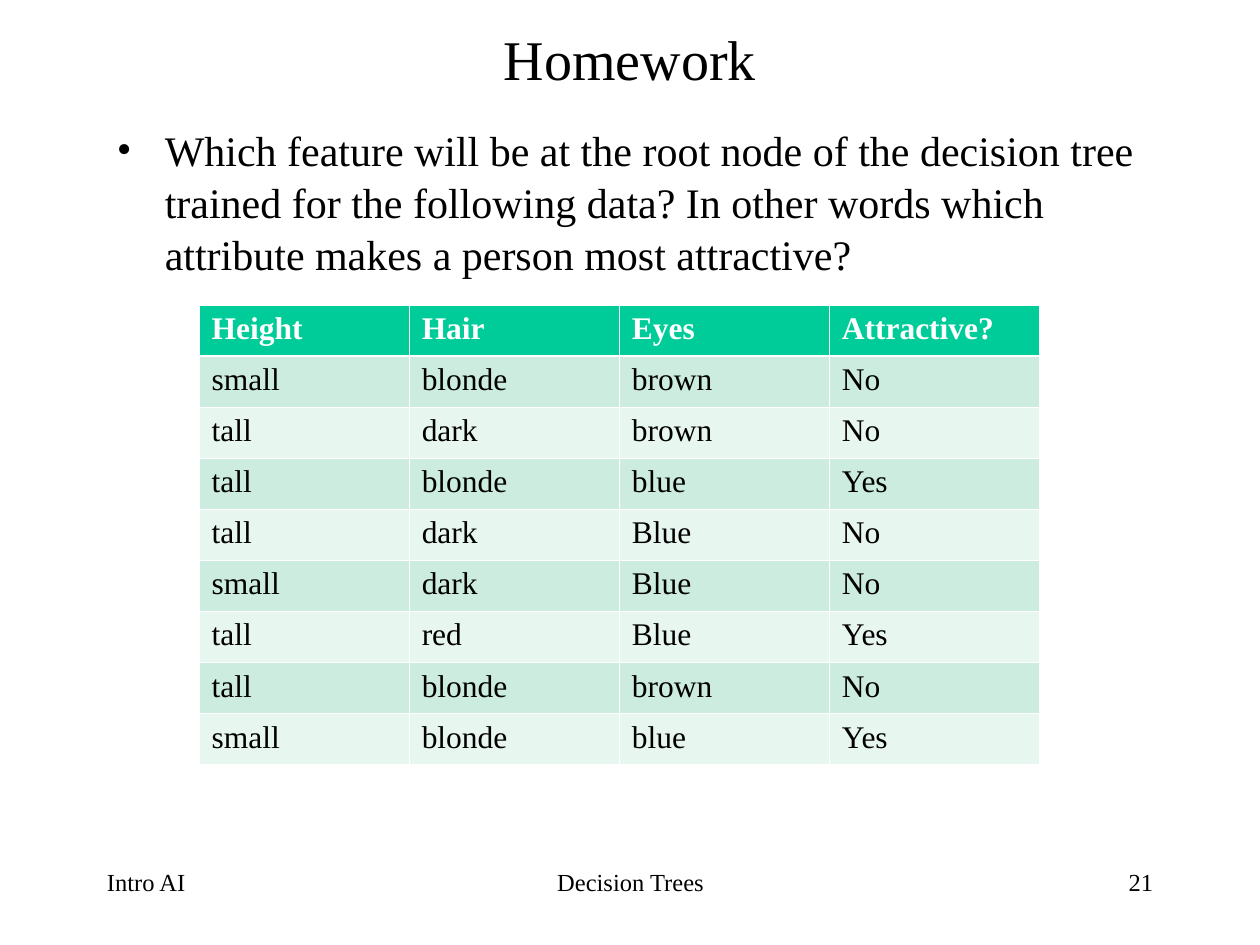
import pptx
import pptx.util
import pptx.dml.color
import pptx.enum.text
import pptx.oxml.ns
import lxml.etree

Inches, Pt = pptx.util.Inches, pptx.util.Pt
ALIGN = pptx.enum.text.PP_ALIGN
ANCHOR = pptx.enum.text.MSO_ANCHOR

FONT = "Times New Roman"
COLORS = {"ink": "000000", "white": "FFFFFF", "head": "00CC99",
          "dark": "CBECDE", "light": "E7F6EF"}

TITLE = "Homework"
QUESTION = ("Which feature will be at the root node of the decision tree "
            "trained for the following data? In other words which "
            "attribute makes a person most attractive?")
FOOTERS = [
    ("Intro AI", 0.75, 2.08, ALIGN.LEFT),
    ("Decision Trees", 3.42, 3.17, ALIGN.CENTER),
    ("21", 7.17, 2.08, ALIGN.RIGHT),
]
ROWS = [
    ("Height", "Hair", "Eyes", "Attractive?"),
    ("small", "blonde", "brown", "No"),
    ("tall", "dark", "brown", "No"),
    ("tall", "blonde", "blue", "Yes"),
    ("tall", "dark", "Blue", "No"),
    ("small", "dark", "Blue", "No"),
    ("tall", "red", "Blue", "Yes"),
    ("tall", "blonde", "brown", "No"),
    ("small", "blonde", "blue", "Yes"),
]
TABLE = (1.58, 2.42, 6.67, 3.65)
THIN, THICK = 0.45, 1.47


def color(name):
    return pptx.dml.color.RGBColor.from_string(COLORS[name])


def add_node(parent, tag, **attrs):
    node = lxml.etree.SubElement(parent, pptx.oxml.ns.qn(tag))
    for key, value in attrs.items():
        node.set(key, str(value))
    return node


def add_run(para, text, size, ink="ink", bold=False):
    run = para.add_run()
    run.text = text
    run.font.name = FONT
    run.font.size = Pt(size)
    run.font.bold = bold
    run.font.color.rgb = color(ink)


def add_text(slide, box, text, size, align=ALIGN.LEFT, anchor=ANCHOR.TOP):
    frame = slide.shapes.add_textbox(*map(Inches, box)).text_frame
    frame.word_wrap = True
    frame.vertical_anchor = anchor
    para = frame.paragraphs[0]
    para.alignment = align
    add_run(para, text, size)
    return para


def add_bullet(para):
    props = para._p.get_or_add_pPr()
    props.set("marL", str(Inches(0.38)))
    props.set("indent", str(-Inches(0.38)))
    add_node(props, "a:buFont", typeface=FONT)
    add_node(props, "a:buChar", char="•")


def set_borders(cell, row):
    props = cell._tc.get_or_add_tcPr()
    widths = {"L": THIN, "R": THIN,
              "T": THICK if row == 1 else THIN,
              "B": THICK if row == 0 else THIN}
    for side, width in widths.items():
        line = add_node(props, "a:ln" + side, w=int(Pt(width)))
        fill = add_node(line, "a:solidFill")
        add_node(fill, "a:srgbClr", val=COLORS["white"])


def add_grid(slide):
    shape = slide.shapes.add_table(len(ROWS), len(ROWS[0]),
                                   *map(Inches, TABLE))
    table = shape.table
    for col in table.columns:
        col.width = Inches(TABLE[2] / len(ROWS[0]))
    for r, words in enumerate(ROWS):
        table.rows[r].height = Inches(TABLE[3] / len(ROWS))
        head = r == 0
        shade = "head" if head else "dark" if r % 2 else "light"
        for c, word in enumerate(words):
            cell = table.cell(r, c)
            set_borders(cell, r)
            cell.fill.solid()
            cell.fill.fore_color.rgb = color(shade)
            add_run(cell.text_frame.paragraphs[0], word, 18,
                    "white" if head else "ink", head)


def main():
    deck = pptx.Presentation()
    deck.slide_width, deck.slide_height = Inches(10), Inches(7.5)
    slide = deck.slides.add_slide(deck.slide_layouts[6])

    add_text(slide, (0.75, 0.17, 8.5, 0.58), TITLE, 32,
             ALIGN.CENTER, ANCHOR.MIDDLE)
    para = add_text(slide, (0.83, 0.92, 8.5, 1.58), QUESTION, 24)
    para.line_spacing = 1.04
    para.space_before = Pt(6)
    add_bullet(para)
    for text, left, width, align in FOOTERS:
        add_text(slide, (left, 6.83, width, 0.5), text, 14, align)
    add_grid(slide)
    deck.save("out.pptx")


if __name__ == "__main__":
    main()
